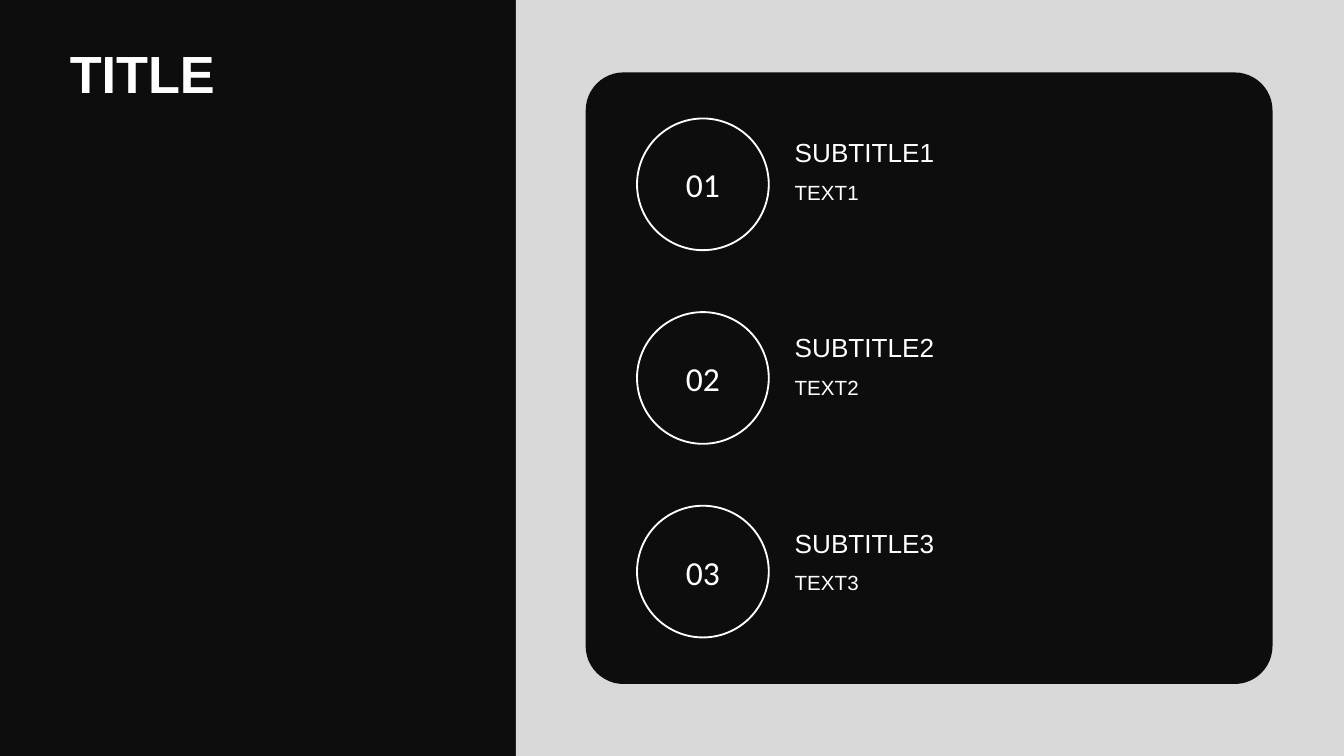
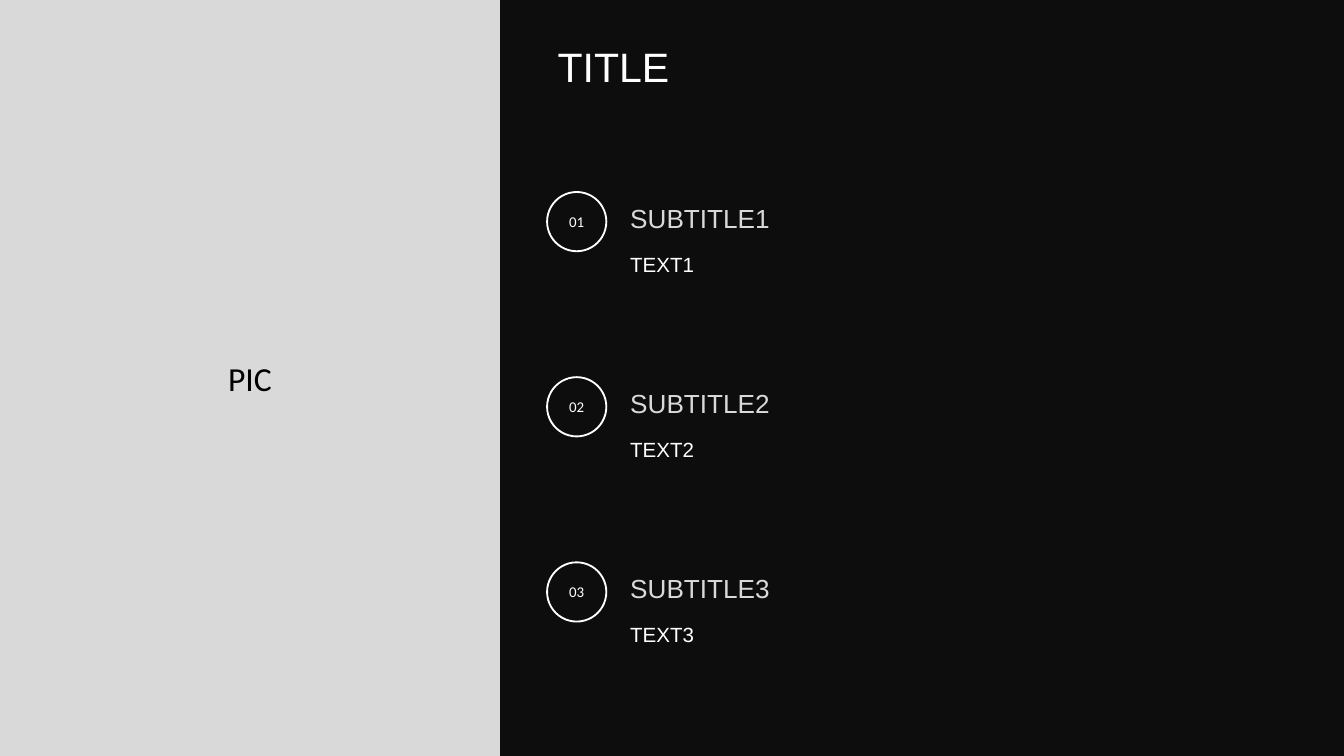
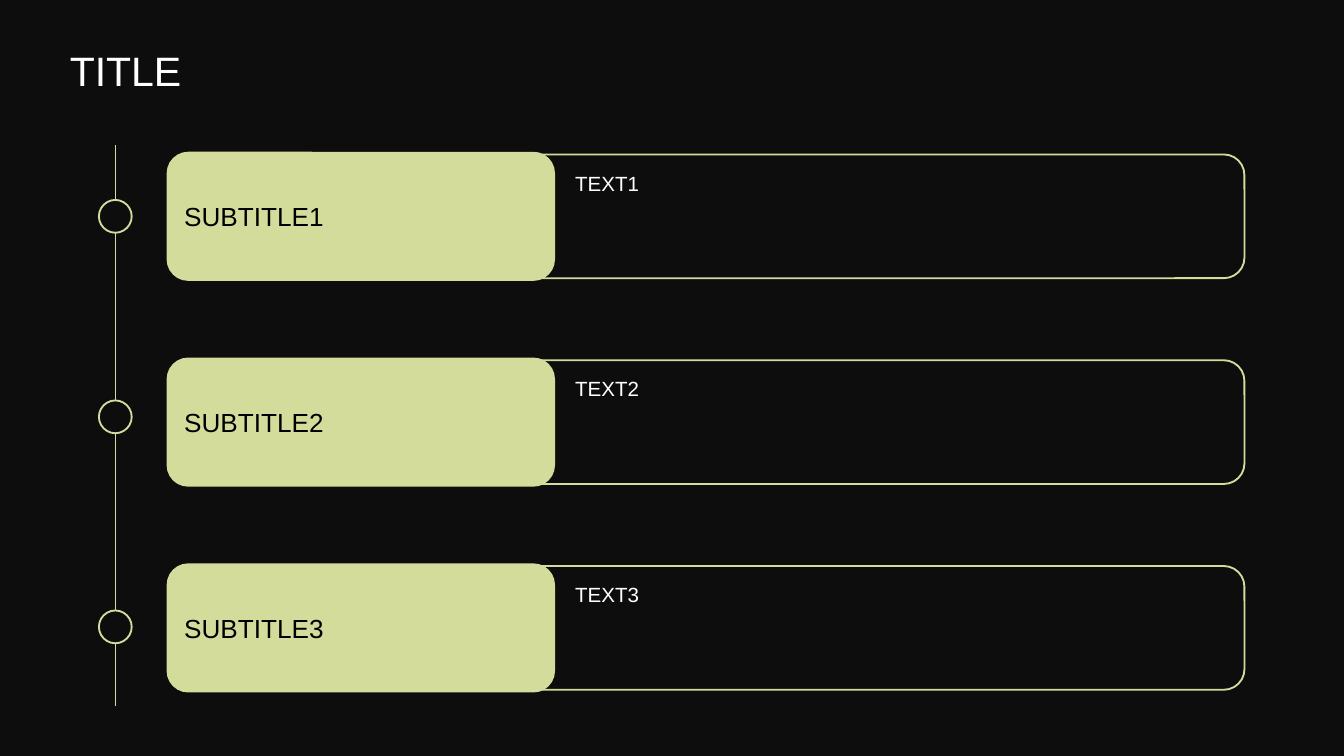
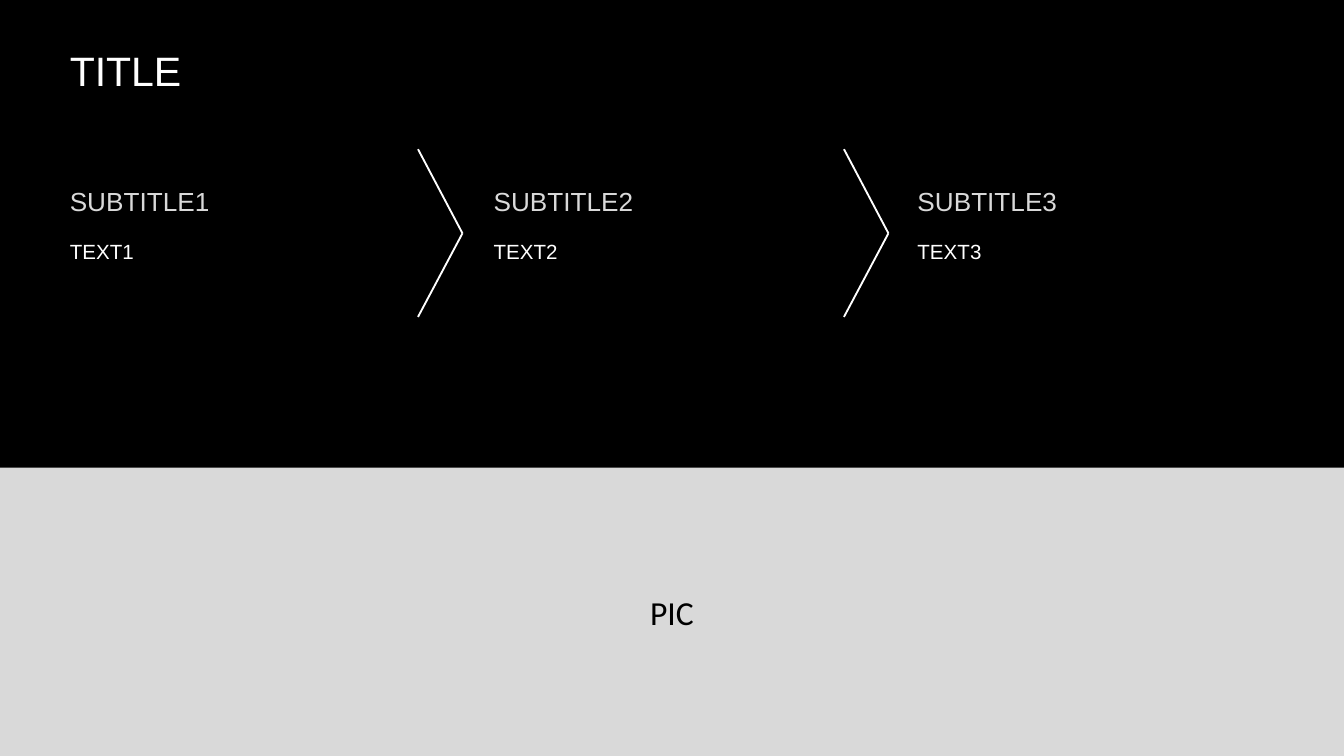
from dataclasses import dataclass

from lxml.etree import SubElement
from pptx import Presentation
from pptx.dml.color import RGBColor
from pptx.enum.shapes import MSO_CONNECTOR, MSO_SHAPE
from pptx.enum.text import MSO_ANCHOR, PP_ALIGN
from pptx.oxml.ns import qn
from pptx.shapes.autoshape import Shape
from pptx.slide import Slide
from pptx.util import Cm, Pt

INK = RGBColor(0x0D, 0x0D, 0x0D)
BLACK = RGBColor(0x00, 0x00, 0x00)
WHITE = RGBColor(0xFF, 0xFF, 0xFF)
GREY = RGBColor(0xD9, 0xD9, 0xD9)
LIME = RGBColor(0xD4, 0xDC, 0x9C)

WIDE, HIGH = 25.4, 14.29
COUNT = 3


@dataclass(frozen=True)
class Box:
    left: float
    top: float
    width: float
    height: float

    def move(self, right: float = 0, down: float = 0) -> "Box":
        return Box(self.left + right, self.top + down, self.width, self.height)

    def place(self) -> list[Cm]:
        return [Cm(side) for side in (self.left, self.top, self.width, self.height)]


@dataclass(frozen=True)
class Style:
    size: float
    color: RGBColor = WHITE
    face: str = "Arial"
    bold: bool = False
    anchor: MSO_ANCHOR = MSO_ANCHOR.TOP
    align: PP_ALIGN = PP_ALIGN.LEFT


@dataclass(frozen=True)
class Look:
    fill: RGBColor | None = None
    line: RGBColor | None = None
    curve: float | None = None


MAIN = Style(28, bold=True)
TITLE = Style(22)
HEAD = Style(14, anchor=MSO_ANCHOR.BOTTOM)
SOFT = Style(14, GREY, anchor=MSO_ANCHOR.BOTTOM)
LABEL = Style(14, BLACK, anchor=MSO_ANCHOR.MIDDLE)
BODY = Style(11)
PIC = Style(18, BLACK, "Calibri", anchor=MSO_ANCHOR.MIDDLE, align=PP_ALIGN.CENTER)
LARGE = Style(18, WHITE, "Calibri", anchor=MSO_ANCHOR.MIDDLE, align=PP_ALIGN.CENTER)
SMALL = Style(8, WHITE, "Calibri", anchor=MSO_ANCHOR.MIDDLE, align=PP_ALIGN.CENTER)

BAND = Look(GREY, curve=0)
PANEL = Look(INK, curve=0.062)
RING = Look(line=WHITE)
FRAME = Look(line=LIME)
TAB = Look(LIME)
DOT = Look(INK, LIME)

TOP = Box(1.07, 0.74, 23.52, 1.35)


def apply(target: object, values: dict) -> None:
    for name, value in values.items():
        setattr(target, name, value)


def write(shape: Shape, text: str, style: Style) -> None:
    frame = shape.text_frame
    apply(frame, {"word_wrap": True, "vertical_anchor": style.anchor})
    para = frame.paragraphs[0]
    para.alignment = style.align
    run = para.add_run()
    run.text = text
    apply(run.font, {"name": style.face, "size": Pt(style.size), "bold": style.bold})
    run.font.color.rgb = style.color


def add_text(slide: Slide, box: Box, text: str, style: Style) -> None:
    write(slide.shapes.add_textbox(*box.place()), text, style)


def add_form(slide: Slide, kind: MSO_SHAPE, box: Box, look: Look) -> Shape:
    shape = slide.shapes.add_shape(kind, *box.place())
    shape.shadow.inherit = False
    if look.fill is None:
        shape.fill.background()
    else:
        shape.fill.solid()
        shape.fill.fore_color.rgb = look.fill
    if look.line is None:
        shape.line.fill.background()
    else:
        shape.line.color.rgb = look.line
        shape.line.width = Pt(1)
    if look.curve is not None:
        shape.adjustments[0] = look.curve
    return shape


def add_block(slide: Slide, box: Box, look: Look) -> Shape:
    return add_form(slide, MSO_SHAPE.ROUNDED_RECTANGLE, box, look)


def add_badge(slide: Slide, box: Box, text: str, style: Style) -> None:
    ring = add_form(slide, MSO_SHAPE.OVAL, box, RING)
    sides = ("left", "top", "right", "bottom")
    apply(ring.text_frame, {f"margin_{side}": 0 for side in sides})
    write(ring, text, style)


def add_line(shapes, start: tuple, end: tuple, color: RGBColor, width: float) -> None:
    ends = [Cm(value) for value in start + end]
    line = shapes.add_connector(MSO_CONNECTOR.STRAIGHT, *ends)
    line.line.color.rgb = color
    line.line.width = Pt(width)
    SubElement(line._element.spPr, qn("a:effectLst"))


def add_slide(deck, color: RGBColor = INK) -> Slide:
    slide = deck.slides.add_slide(deck.slide_layouts[6])
    fill = slide.background.fill
    fill.solid()
    fill.fore_color.rgb = color
    return slide


def draw_panel(deck) -> None:
    slide = add_slide(deck)
    add_text(slide, Box(1.07, 0.66, 8.31, 5.26), "TITLE", MAIN)
    add_block(slide, Box(9.75, 0, WIDE - 9.75, HIGH), BAND)
    add_block(slide, Box(11.07, 1.37, 12.98, 11.56), PANEL)
    for row in range(COUNT):
        down = row * 3.69
        badge = Box(12.04, 2.24, 2.49, 2.49).move(down=row * 3.66)
        add_badge(slide, badge, f"{row + 1:02}", LARGE)
        add_text(slide, Box(14.77, 1.78, 8.94, 1.52).move(down=down), f"SUBTITLE{row + 1}", HEAD)
        add_text(slide, Box(14.77, 3.27, 8.94, 2.24).move(down=down), f"TEXT{row + 1}", BODY)


def draw_list(deck) -> None:
    slide = add_slide(deck)
    add_text(slide, Box(10.29, 0.66, 14.02, 2.16), "TITLE", TITLE)
    write(add_block(slide, Box(0, 0, 9.45, HIGH), BAND), "PIC", PIC)
    for row in range(COUNT):
        down = row * 3.5
        add_text(slide, Box(11.66, 3.63, 12.98, 0.91).move(down=down), f"SUBTITLE{row + 1}", SOFT)
        add_text(slide, Box(11.66, 4.64, 12.98, 1.98).move(down=down), f"TEXT{row + 1}", BODY)
        add_badge(slide, Box(10.34, 3.63, 1.12, 1.12).move(down=down), f"{row + 1:02}", SMALL)


def draw_steps(deck) -> None:
    slide = add_slide(deck)
    add_line(slide.shapes, (2.18, 2.74), (2.18, 13.34), LIME, 0.5)
    for row, top in enumerate((3.78, 7.57, 11.54)):
        down = row * 3.89
        add_block(slide, Box(9.5, 2.92, 14.02, 2.34).move(down=down), FRAME)
        add_text(slide, Box(10.62, 3.1, 12.45, 1.98).move(down=down), f"TEXT{row + 1}", BODY)
        add_block(slide, Box(3.15, 2.87, 7.34, 2.44).move(down=down), TAB)
        add_text(slide, Box(3.23, 2.87, 7.09, 2.44).move(down=down), f"SUBTITLE{row + 1}", LABEL)
        add_form(slide, MSO_SHAPE.OVAL, Box(1.87, top, 0.62, 0.62), DOT)
    add_text(slide, TOP, "TITLE", TITLE)


def draw_flow(deck) -> None:
    slide = add_slide(deck, BLACK)
    write(add_block(slide, Box(0, 8.84, WIDE, HIGH - 8.84), BAND), "PIC", PIC)
    for col, width in enumerate((6.78, 6.78, 7.39)):
        right = col * 8.01
        add_text(slide, Box(1.07, 2.24, width, 1.98).move(right), f"SUBTITLE{col + 1}", SOFT)
        add_text(slide, Box(1.07, 4.39, width, 4.34).move(right), f"TEXT{col + 1}", BODY)
    add_text(slide, TOP, "TITLE", TITLE)
    for gap in range(COUNT - 1):
        left = 7.9 + gap * 8.05
        group = slide.shapes.add_group_shape()
        for edge in (2.82, 5.99):
            add_line(group.shapes, (left, edge), (left + 0.84, 4.41), WHITE, 1)


def main() -> None:
    deck = Presentation()
    apply(deck, {"slide_width": Cm(WIDE), "slide_height": Cm(HIGH)})
    for draw in (draw_panel, draw_list, draw_steps, draw_flow):
        draw(deck)
    deck.save("out.pptx")


if __name__ == "__main__":
    main()
